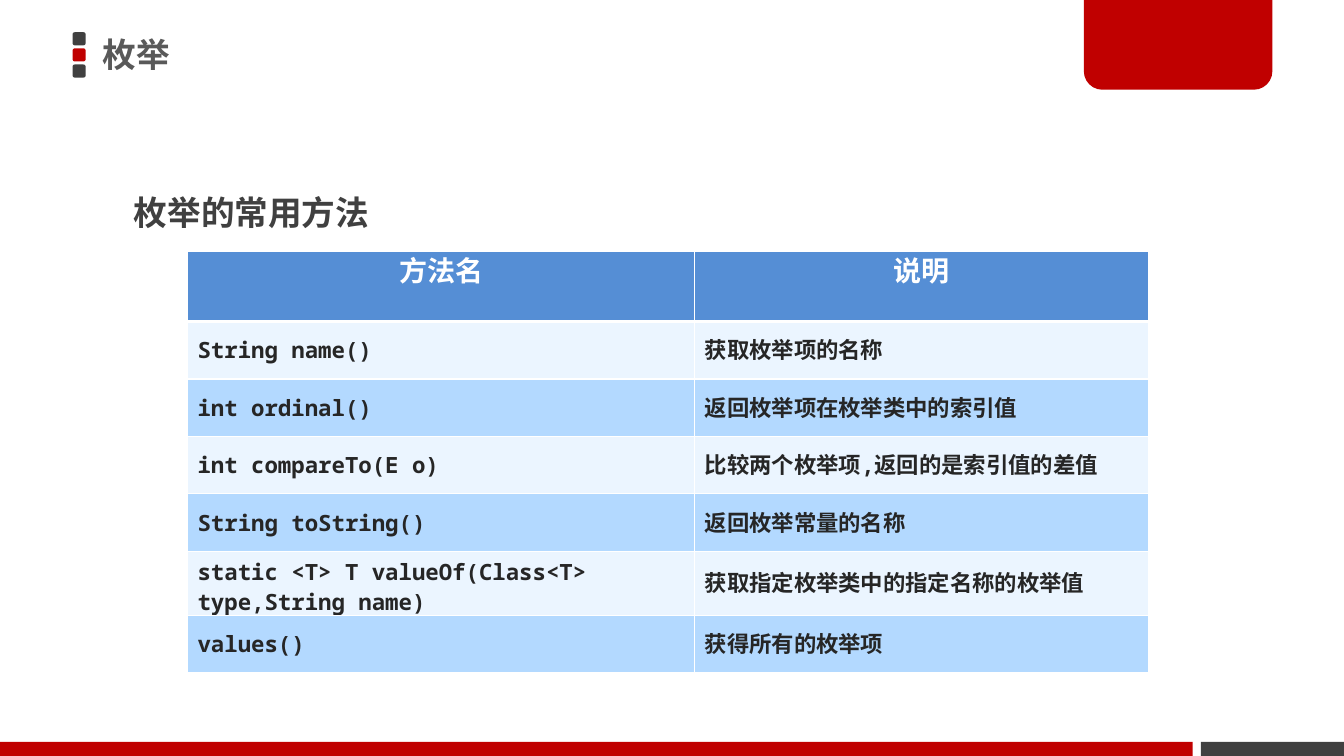
from pptx import Presentation
from pptx import util as u
from pptx.dml.color import RGBColor
from pptx.enum import shapes, text
from pptx.oxml import parse_xml
from pptx.oxml.ns import nsdecls, qn

RED = RGBColor(0xC0, 0x00, 0x00)
DARK = RGBColor(0x40, 0x40, 0x40)
GRAY = RGBColor(0x59, 0x59, 0x59)
INK = RGBColor(0x26, 0x26, 0x26)
WHITE = RGBColor(0xFF, 0xFF, 0xFF)
BLUE = RGBColor(0x55, 0x8E, 0xD5)
PALE = RGBColor(0xEB, 0xF5, 0xFF)
SKY = RGBColor(0xB3, 0xD9, 0xFF)
SANS, MONO = "Noto Sans CJK JP", "Noto Sans Mono"
SHAPE = shapes.MSO_SHAPE

prs = Presentation()
prs.slide_width, prs.slide_height = u.Inches(13.33), u.Inches(7.5)
s = prs.slides.add_slide(prs.slide_layouts[6])


def add_block(kind, x, y, w, h, color):
    sp = s.shapes.add_shape(kind, u.Inches(x), u.Inches(y), u.Inches(w), u.Inches(h))
    sp.shadow.inherit = False
    sp.fill.solid()
    sp.fill.fore_color.rgb = color
    sp.line.fill.background()
    return sp


def add_run(p, words, size, font, color):
    r = p.add_run()
    r.text = words
    r.font.size = u.Pt(size)
    r.font.name = font
    r.font.bold = True
    r.font.color.rgb = color
    r.font._element.append(parse_xml(f'<a:ea {nsdecls("a")} typeface="{font}"/>'))


for i, color in enumerate([DARK, RED, DARK]):
    add_block(SHAPE.ROUNDED_RECTANGLE, 0.72, 0.32 + 0.16 * i, 0.13, 0.13, color)
add_block(SHAPE.RECTANGLE, 11.91, 7.36, 1.42, 0.14, DARK)
add_block(SHAPE.RECTANGLE, 0, 7.36, 11.83, 0.14, RED)
tab = add_block(SHAPE.ROUND_2_SAME_RECTANGLE, 10.75, -0.03, 1.87, 0.92, RED)
tab.adjustments[0] = 0
tab.adjustments[1] = 0.2

headings = [
    ("枚举", 0.92, -0.03, 7.85, 1.18, SANS, GRAY, 0.9, text.MSO_ANCHOR.MIDDLE),
    ("枚举的常用方法", 1.23, 1.65, 5.12, 0.65, MONO, DARK, 1.5, text.MSO_ANCHOR.TOP),
]
for words, x, y, w, h, font, color, spacing, anchor in headings:
    tf = s.shapes.add_textbox(u.Inches(x), u.Inches(y), u.Inches(w), u.Inches(h)).text_frame
    tf.word_wrap = True
    tf.vertical_anchor = anchor
    p = tf.paragraphs[0]
    p.line_spacing = spacing
    add_run(p, words, 24, font, color)

methods = [
    ("方法名", "说明"),
    ("String name()", "获取枚举项的名称"),
    ("int ordinal()", "返回枚举项在枚举类中的索引值"),
    ("int compareTo(E o)", "比较两个枚举项,返回的是索引值的差值"),
    ("String toString()", "返回枚举常量的名称"),
    ("static <T> T valueOf(Class<T> type,String name)", "获取指定枚举类中的指定名称的枚举值"),
    ("values()", "获得所有的枚举项"),
]
table = s.shapes.add_table(len(methods), 2, u.Inches(1.86), u.Inches(2.49),
                           u.Inches(9.53), u.Inches(4.12)).table
table.columns[0].width, table.columns[1].width = u.Inches(5.03), u.Inches(4.5)
for i, row in enumerate(methods):
    header = i == 0
    table.rows[i].height = u.Inches(0.7 if header else 0.57)
    for j, words in enumerate(row):
        cell = table.cell(i, j)
        p = cell.text_frame.paragraphs[0]
        if header:
            p.alignment = text.PP_ALIGN.CENTER
            p.line_spacing = u.Pt(24)
            add_run(p, words, 20, MONO, WHITE)
        else:
            cell.vertical_anchor = text.MSO_ANCHOR.MIDDLE
            add_run(p, words, 16, MONO, INK)
        cell.fill.solid()
        cell.fill.fore_color.rgb = BLUE if header else PALE if i % 2 else SKY
        thick = {0: "lnB", 1: "lnT"}.get(i)
        for k, side in enumerate(["lnL", "lnR", "lnT", "lnB"]):
            width = u.Pt(3 if side == thick else 1)
            cell._tc.get_or_add_tcPr().insert(k, parse_xml(
                f'<a:{side} {nsdecls("a")} w="{width}"><a:solidFill>'
                f'<a:srgbClr val="{WHITE}"/></a:solidFill></a:{side}>'))

prs.save("out.pptx")
